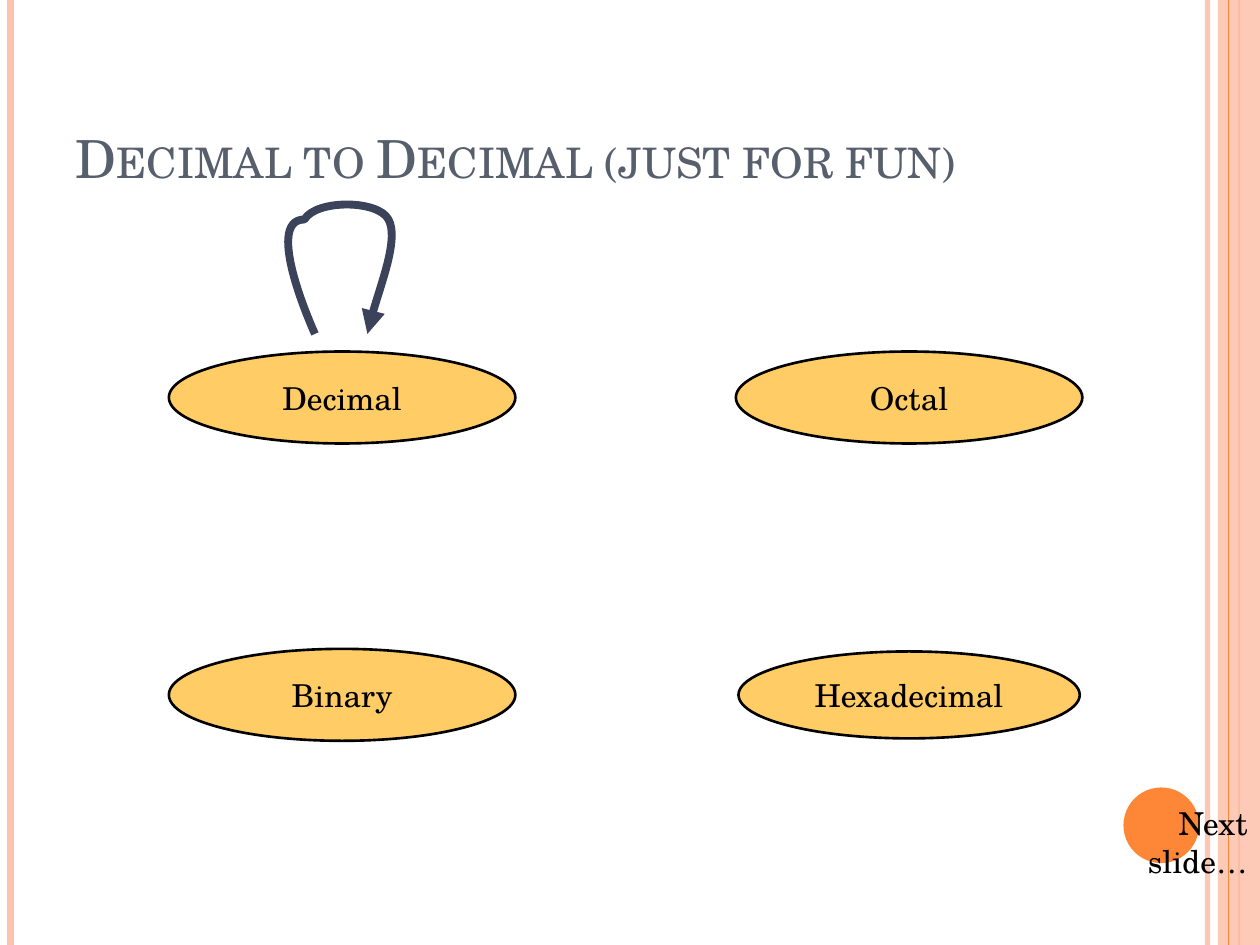
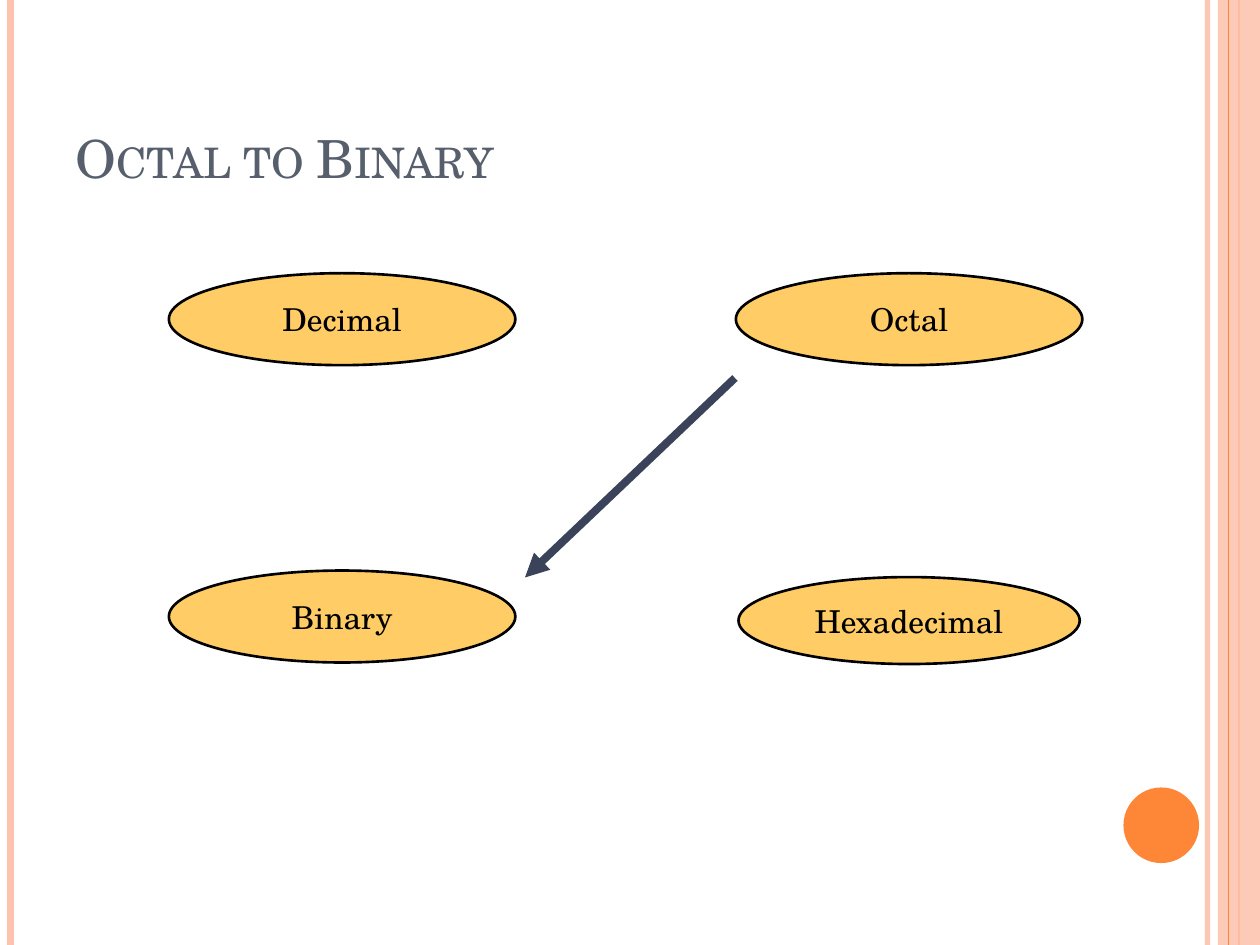
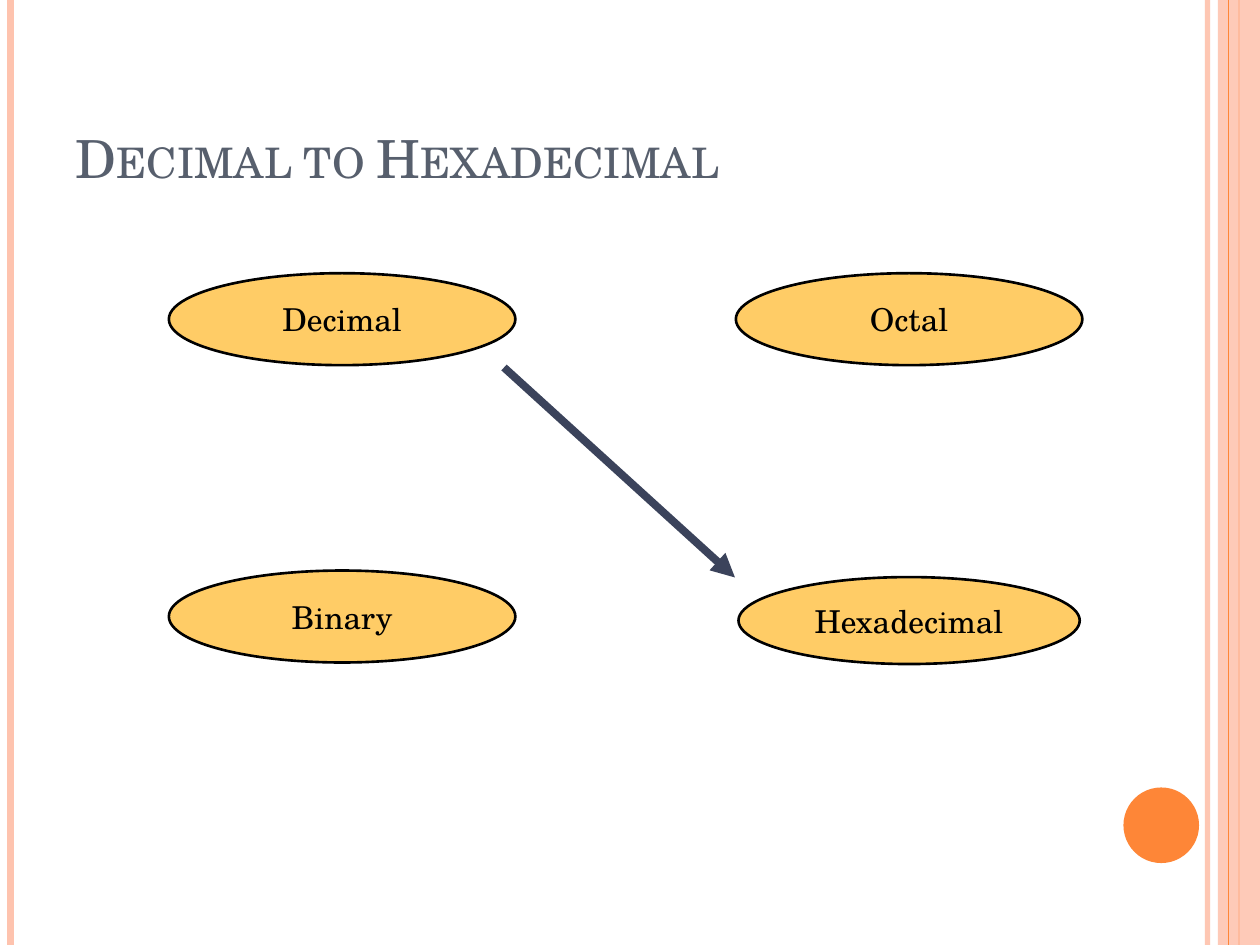
from lxml import etree
from pptx import Presentation
from pptx.dml.color import RGBColor
from pptx.enum.shapes import MSO_CONNECTOR, MSO_SHAPE
from pptx.enum.text import MSO_ANCHOR, MSO_AUTO_SIZE, PP_ALIGN
from pptx.oxml.ns import qn
from pptx.util import Inches, Pt

STRAIGHT = MSO_CONNECTOR.STRAIGHT
RECTANGLE, OVAL = MSO_SHAPE.RECTANGLE, MSO_SHAPE.OVAL
TOP, MIDDLE, BOTTOM = MSO_ANCHOR.TOP, MSO_ANCHOR.MIDDLE, MSO_ANCHOR.BOTTOM
LEFT, CENTER, RIGHT = PP_ALIGN.LEFT, PP_ALIGN.CENTER, PP_ALIGN.RIGHT
FIXED = MSO_AUTO_SIZE.NONE

COLUMNS, ROWS = 120, 90
FONT = "TeX Gyre Schola"
PEACH, ORANGE, GOLD = "FEC3AE", "FE8637", "FFCC66"
SLATE, NAVY, BLACK = "575F6D", "3B435B", "000000"

LEFT_CENTER, RIGHT_CENTER = 32.58, 86.58
BASE_SIZE, HEX_SIZE = (33, 8.76), (32.5, 8.28)
BINARY_DROP = 28.32


def paint(color_format, color, opacity=100):
    color_format.rgb = RGBColor.from_string(color)
    if opacity < 100:
        srgb = color_format._xFill.find(qn("a:srgbClr"))
        etree.SubElement(srgb, qn("a:alpha"), val=str(opacity * 1000))


class Deck:
    """Shared style, a 120 x 90 grid and the slide being drawn."""

    def __init__(self):
        self.show = Presentation()
        self.show.slide_width, self.show.slide_height = Inches(10), Inches(7.5)
        self.slide = None

    def place(self, *lengths):
        """Turn alternating column and row lengths into slide units."""
        units = (self.show.slide_width / COLUMNS, self.show.slide_height / ROWS)
        return [round(n * units[i % 2]) for i, n in enumerate(lengths)]

    def start(self, title):
        self.slide = self.show.slides.add_slide(self.show.slide_layouts[5])
        heading = self.slide.shapes.title
        box = zip(("left", "top", "width", "height"), self.place(6, 3.6, 98, 15))
        for side, length in box:
            setattr(heading, side, length)
        run = self.add_text(heading, title, 30, SLATE, LEFT, BOTTOM)
        run._r.get_or_add_rPr().set("cap", "small")
        self.decorate()

    def decorate(self):
        self.line((115, 0), (115, ROWS), PEACH, 3, opacity=93)
        self.line((1, 0), (1, ROWS), PEACH, 4.5)
        self.line((118, 0), (118, ROWS), ORANGE, 1.5)
        self.shape(RECTANGLE, (116, 0, 4, ROWS), PEACH, opacity=87)
        self.line((117, 0), (117, ROWS), ORANGE, 0.75)
        self.shape(OVAL, (107, 75, 7.2, 7.2), ORANGE)

    def add_text(self, holder, text, size, color, align, anchor, wrap=True):
        frame = holder.text_frame
        frame_format = {"auto_size": FIXED, "word_wrap": wrap, "vertical_anchor": anchor}
        for name, value in frame_format.items():
            setattr(frame, name, value)
        paragraph = frame.paragraphs[0]
        paragraph.alignment = align
        run = paragraph.add_run()
        run.text = text
        for name, value in {"name": FONT, "size": Pt(size)}.items():
            setattr(run.font, name, value)
        paint(run.font.color, color)
        return run

    def shape(self, kind, box, fill, opacity=100):
        shape = self.slide.shapes.add_shape(kind, *self.place(*box))
        shape.shadow.inherit = False
        shape.fill.solid()
        paint(shape.fill.fore_color, fill, opacity)
        shape.line.fill.background()
        return shape

    def stroke(self, line, color, width, opacity=100, arrow=False):
        line.width = Pt(width)
        line.fill.solid()
        paint(line.fill.fore_color, color, opacity)
        if arrow:
            etree.SubElement(line._get_or_add_ln(), qn("a:tailEnd"), type="triangle")

    def line(self, start, end, color, width, opacity=100, arrow=False):
        line = self.slide.shapes.add_connector(STRAIGHT, *self.place(*start, *end))
        self.stroke(line.line, color, width, opacity, arrow)
        etree.SubElement(line._element.spPr, qn("a:effectLst"))

    def arrow(self, start, end):
        self.line(start, end, NAVY, 4.5, arrow=True)

    def curved_arrow(self, start, *points):
        """Draw cubic curves; each three points are two handles and an end."""
        builder = self.slide.shapes.build_freeform(*self.place(*start))
        builder.add_line_segments([self.place(*point) for point in points], close=False)
        curve = builder.convert_to_shape()
        curve.shadow.inherit = False
        curve.fill.background()
        self.stroke(curve.line, NAVY, 4.5, arrow=True)
        segments = list(curve._element.iter(qn("a:lnTo")))
        for first in range(0, len(segments), 3):
            bezier = etree.Element(qn("a:cubicBezTo"))
            segments[first].addprevious(bezier)
            for segment in segments[first:first + 3]:
                bezier.append(segment[0])
                segment.getparent().remove(segment)

    def number_base(self, name, center, middle, size=BASE_SIZE):
        width, height = size
        box = (center - width / 2, middle - height / 2, width, height)
        oval = self.shape(OVAL, box, GOLD)
        self.stroke(oval.line, BLACK, 1.5)
        self.add_text(oval, name, 18, BLACK, CENTER, MIDDLE, wrap=False)

    def number_bases(self, middle, hex_drop):
        self.number_base("Hexadecimal", RIGHT_CENTER, middle + hex_drop, HEX_SIZE)
        self.number_base("Decimal", LEFT_CENTER, middle)
        self.number_base("Octal", RIGHT_CENTER, middle)
        self.number_base("Binary", LEFT_CENTER, middle + BINARY_DROP)

    def label(self, text, box):
        holder = self.slide.shapes.add_textbox(*self.place(*box))
        self.add_text(holder, text, 18, BLACK, RIGHT, TOP)


def main():
    deck = Deck()

    deck.start("Decimal to Decimal (just for fun)")
    deck.number_bases(37.86, BINARY_DROP)
    deck.curved_arrow((30, 31.8),
                      (30, 31.8), (25, 20.9), (29, 20.9),
                      (30.1, 19), (36, 19), (37, 20.9),
                      (38, 22.7), (35.4, 29.5), (35, 31.8))
    deck.label("Next slide…", (102.36, 76, 17.64, 4.8))

    conversions = {
        "Octal to Binary": ((70, 36), (50, 55)),
        "Decimal to Hexadecimal": ((48, 35), (70, 55)),
    }
    for title, (start, end) in conversions.items():
        deck.start(title)
        deck.number_bases(30.4, 28.7)
        deck.arrow(start, end)

    deck.show.save("out.pptx")


if __name__ == "__main__":
    main()
